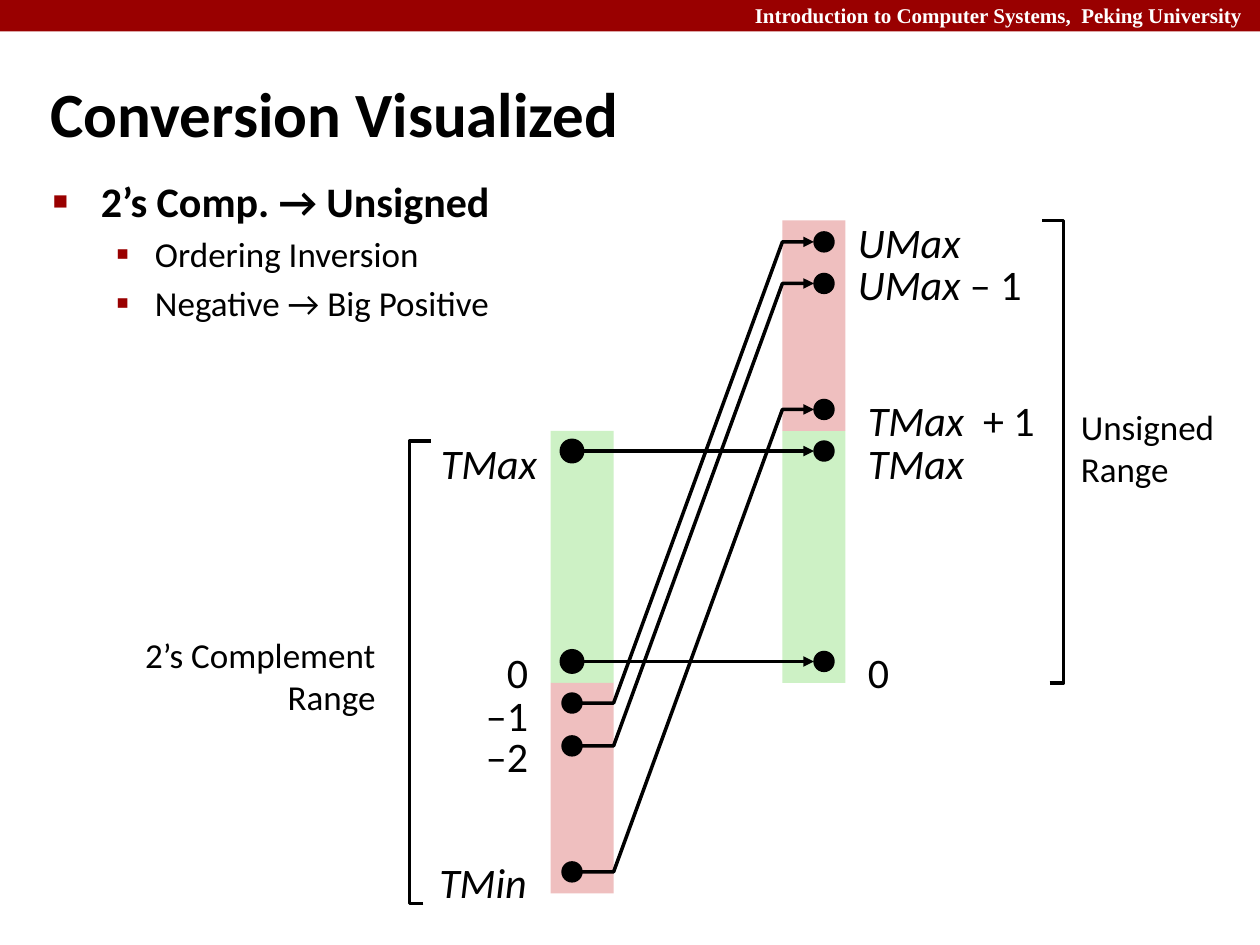
"""Build the slide on converting two's complement to unsigned."""
from typing import NamedTuple

from lxml import etree
from pptx import Presentation, util as u
from pptx.dml.color import RGBColor
from pptx.enum import shapes as kinds, text as txt
from pptx.oxml.ns import qn

HUES = {"red": "990000", "green": "CDF1C5", "pink": "EFBFBF",
        "ink": "000000", "white": "FFFFFF"}
LEFT, RIGHT = txt.PP_ALIGN.LEFT, txt.PP_ALIGN.RIGHT
DOT = 0.17


class Bar(NamedTuple):
    x: float
    y: float
    w: float
    h: float
    hue: str


class Dot(NamedTuple):
    x: float
    y: float
    edge: bool = False


class Label(NamedTuple):
    x: float
    y: float
    w: float
    name: str = ""
    rest: str = ""
    align: txt.PP_ALIGN = LEFT
    size: int = 24
    h: float = 0.51
    face: str = "Calibri"
    hue: str = "ink"
    bold: bool = False


class Item(NamedTuple):
    words: str
    level: int
    size: int
    mark: str
    scale: int
    left: float
    hang: float


BARS = [
    Bar(0, 0, 10, 0.25, "red"),
    Bar(6.21, 3.42, 0.5, 2, "green"),
    Bar(4.37, 3.42, 0.5, 2, "green"),
    Bar(4.37, 5.42, 0.5, 1.67, "pink"),
    Bar(6.21, 1.75, 0.5, 1.67, "pink"),
]
LEVELS = [3.58, 5.25]
JUMPS = [(5.58, 1.92), (5.92, 2.25), (6.92, 3.25)]
DOTS = ([Dot(4.54, y, True) for y in LEVELS]
        + [Dot(6.54, y) for y in LEVELS]
        + [Dot(x, y) for pair in JUMPS for x, y in zip((4.54, 6.54), pair)])
BRACES = [
    [(3.36, 7.17), (3.25, 7.17), (3.25, 3.5), (3.42, 3.5)],
    [(8.33, 5.42), (8.44, 5.42), (8.44, 1.75), (8.27, 1.75)],
]
LABELS = [
    Label(4.5, -0.03, 5.5, rest="Introduction to Computer Systems,  Peking University ",
          align=RIGHT, size=12, h=0.3, face="Times New Roman", hue="white", bold=True),
    Label(3.39, 3.42, 0.97, "TMax", align=RIGHT),
    Label(3.46, 5.08, 0.83, rest="0", align=RIGHT),
    Label(3.46, 5.42, 0.83, rest="–1", align=RIGHT),
    Label(3.46, 5.75, 0.83, rest="–2", align=RIGHT),
    Label(3.38, 6.75, 0.9, "TMin", align=RIGHT),
    Label(6.71, 1.67, 1.25, "UMax"),
    Label(6.71, 2, 1.58, "UMax", " – 1"),
    Label(6.79, 3.08, 1.54, "TMax  ", "+ 1"),
    Label(6.79, 3.42, 0.97, "TMax"),
    Label(6.79, 5.08, 0.83, rest="0"),
    Label(0.75, 4.98, 2.33, rest="2’s Complement Range", align=RIGHT, size=20, h=0.77),
    Label(8.48, 3.17, 1.27, rest="Unsigned Range", size=20, h=0.77),
]
ITEMS = [
    Item("2’s Comp. → Unsigned", 0, 24, "■", 60, 0.38, 0.38),
    Item("Ordering Inversion", 1, 20, "▪", 110, 0.81, 0.31),
    Item("Negative → Big Positive", 1, 20, "▪", 110, 0.81, 0.31),
]


def tint(name: str) -> RGBColor:
    return RGBColor.from_string(HUES[name])


def style(font, size: int, bold: bool, face: str = "Calibri", hue: str = "ink") -> None:
    font.size, font.bold, font.name = u.Pt(size), bold, face
    font.color.rgb = tint(hue)


def place(shape, x: float, y: float, w: float, h: float) -> None:
    shape.left, shape.top, shape.width, shape.height = map(u.Inches, (x, y, w, h))


def solid(slide, kind, x: float, y: float, w: float, h: float, hue: str):
    shape = slide.shapes.add_shape(kind, *map(u.Inches, (x, y, w, h)))
    shape.shadow.inherit = False
    shape.fill.solid()
    shape.fill.fore_color.rgb = tint(hue)
    shape.line.fill.background()
    return shape


def ink(line, arrow: bool) -> None:
    line.color.rgb, line.width = tint("ink"), u.Pt(2)
    if arrow:
        etree.SubElement(line._get_or_add_ln(), qn("a:tailEnd"), type="triangle")


def draw_dot(slide, dot: Dot) -> None:
    shape = solid(slide, kinds.MSO_SHAPE.OVAL, dot.x - DOT / 2, dot.y - DOT / 2,
                  DOT, DOT, "ink")
    if dot.edge:
        ink(shape.line, False)


def draw_path(slide, points: list, arrow: bool) -> None:
    spots = [(u.Inches(x), u.Inches(y)) for x, y in points]
    pen = slide.shapes.build_freeform(*spots[0])
    pen.add_line_segments(spots[1:], close=False)
    shape = pen.convert_to_shape()
    shape.shadow.inherit = False
    shape.fill.background()
    ink(shape.line, arrow)


def draw_arrow(slide, y: float) -> None:
    line = slide.shapes.add_connector(
        kinds.MSO_CONNECTOR.STRAIGHT, *map(u.Inches, (4.62, y, 6.46, y)))
    ink(line.line, True)
    etree.SubElement(line._element.spPr, qn("a:effectLst"))


def draw_label(slide, label: Label) -> None:
    box = slide.shapes.add_textbox(*map(u.Inches, (label.x, label.y, label.w, label.h)))
    box.text_frame.word_wrap = True
    para = box.text_frame.paragraphs[0]
    para.alignment = label.align
    style(para.font, label.size, label.bold, label.face, label.hue)
    for words, slant in ((label.name, True), (label.rest, False)):
        if words:
            run = para.add_run()
            run.text, run.font.italic = words, slant


def bullet(para, item: Item) -> None:
    props = para._p.get_or_add_pPr()
    props.set("marL", str(u.Inches(item.left)))
    props.set("indent", str(-u.Inches(item.hang)))
    tone = etree.SubElement(props, qn("a:buClr"))
    etree.SubElement(tone, qn("a:srgbClr"), val=HUES["red"])
    etree.SubElement(props, qn("a:buSzPct"), val=str(item.scale * 1000))
    etree.SubElement(props, qn("a:buChar"), char=item.mark)


def fill_text(slide) -> None:
    title, body = slide.placeholders
    place(title, 0.3, 0.58, 8.69, 0.63)
    title.text_frame.text = "Conversion Visualized"
    title.text_frame.vertical_anchor = txt.MSO_ANCHOR.MIDDLE
    head = title.text_frame.paragraphs[0]
    head.alignment = LEFT
    style(head.font, 36, True)
    place(body, 0.32, 1.34, 4.55, 1.88)
    frame = body.text_frame
    frame.text = "\n".join(item.words for item in ITEMS)
    for frm in (title.text_frame, frame):
        frm.auto_size = txt.MSO_AUTO_SIZE.NONE
    for para, item in zip(frame.paragraphs, ITEMS):
        para.level = item.level
        bullet(para, item)
        para.space_before = u.Pt(4 * item.level)
        style(para.font, item.size, item.level == 0)


def main() -> None:
    deck = Presentation()
    deck.slide_width, deck.slide_height = u.Inches(10), u.Inches(7.5)
    slide = deck.slides.add_slide(deck.slide_layouts[1])
    fill_text(slide)
    for bar in BARS:
        solid(slide, kinds.MSO_SHAPE.RECTANGLE, *bar)
    for dot in DOTS:
        draw_dot(slide, dot)
    for y in LEVELS:
        draw_arrow(slide, y)
    for low, high in JUMPS:
        draw_path(slide, [(4.62, low), (4.87, low), (6.21, high), (6.46, high)], True)
    for brace in BRACES:
        draw_path(slide, brace, False)
    for label in LABELS:
        draw_label(slide, label)
    deck.save("out.pptx")


if __name__ == "__main__":
    main()
